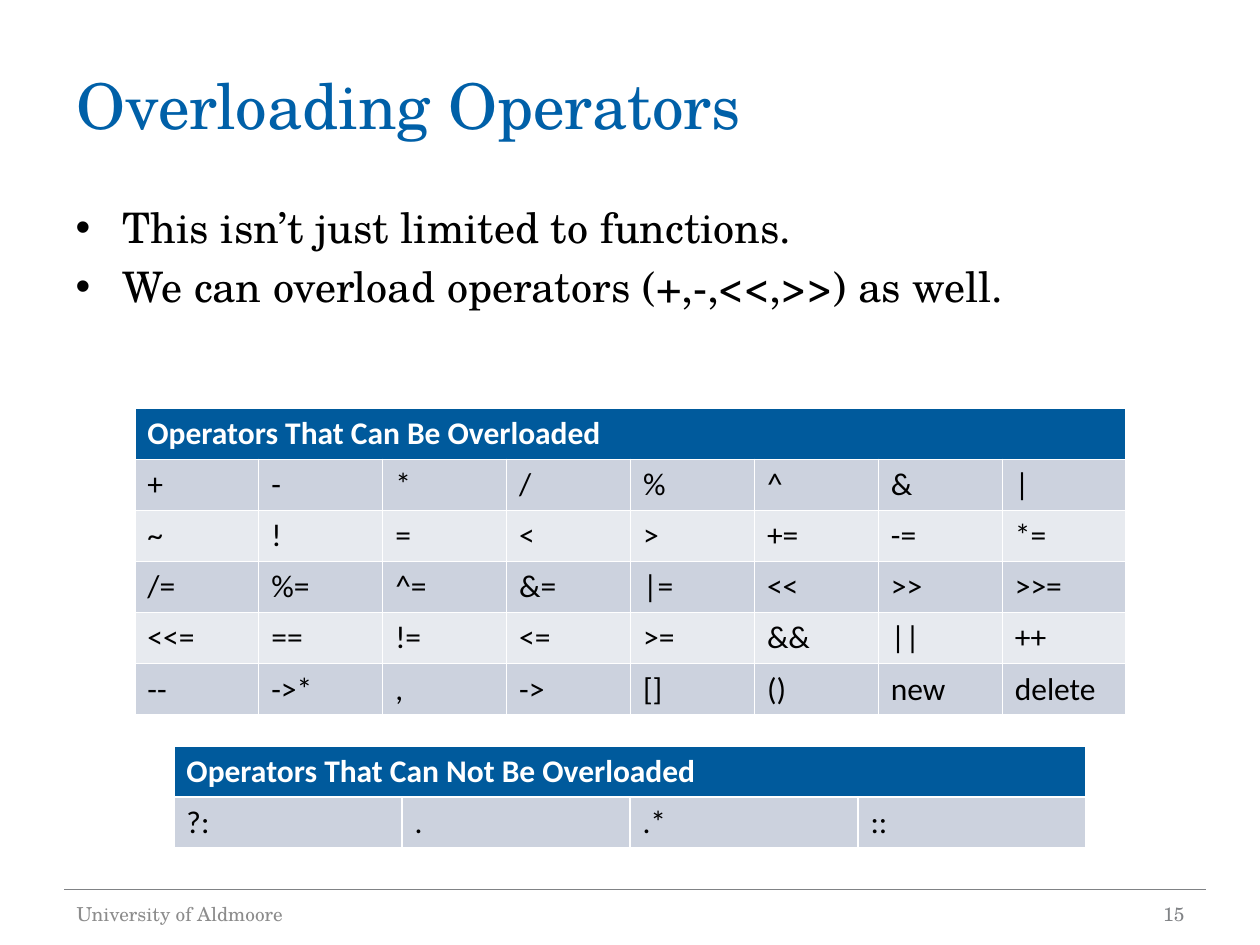
from dataclasses import dataclass

from pptx import Presentation
from pptx import util as u
from pptx.dml.color import RGBColor
from pptx.enum import shapes, text
from pptx.oxml.ns import qn

TITLE_BLUE = RGBColor(0x00, 0x60, 0xA8)
HEADER_BLUE = RGBColor(0x00, 0x5A, 0x9C)
BANDS = (RGBColor(0xCC, 0xD2, 0xDE), RGBColor(0xE7, 0xEA, 0xEF))
RULE_GREY = RGBColor(0x80, 0x82, 0x85)
FOOTER_GREY = RGBColor(0x8C, 0x8C, 0x8C)
BLACK = RGBColor(0, 0, 0)
WHITE = RGBColor(0xFF, 0xFF, 0xFF)
SERIF, SANS = "TeX Gyre Schola", "Calibri"

WIDTH, HEIGHT = u.Inches(10), u.Inches(7.5)
ROW_HEIGHT = 5.4  # percent of the slide's height


@dataclass(frozen=True)
class Box:
    """A place on the slide, in percent of its width and height."""
    left: float
    top: float
    width: float
    height: float

    def lengths(self) -> tuple[int, int, int, int]:
        return (across(self.left), down(self.top),
                across(self.width), down(self.height))


@dataclass(frozen=True)
class OperatorTable:
    heading: str
    rows: tuple[str, ...]  # operators separated by spaces
    left: float
    top: float
    width: float


def across(percent: float) -> int:
    return round(WIDTH * percent / 100)


def down(percent: float) -> int:
    return round(HEIGHT * percent / 100)


def write(frame, *lines: str, size: float, color: RGBColor, font: str = SERIF,
          bold: bool = False, align=text.PP_ALIGN.LEFT, anchor=None) -> None:
    frame.word_wrap = True
    if anchor is not None:
        frame.vertical_anchor = anchor
    for index, line in enumerate(lines):
        paragraph = frame.paragraphs[0] if index == 0 else frame.add_paragraph()
        paragraph.alignment = align
        run = paragraph.add_run()
        run.text = line
        run.font.name, run.font.size = font, u.Pt(size)
        run.font.bold = bold
        run.font.color.rgb = color


def place(shape, box: Box) -> None:
    shape.left, shape.top, shape.width, shape.height = box.lengths()


def fill_cell(cell, label: str, fill: RGBColor, color: RGBColor,
              bold: bool = False) -> None:
    cell.fill.solid()
    cell.fill.fore_color.rgb = fill
    write(cell.text_frame, label, size=18, color=color, font=SANS, bold=bold)


def draw_table(slide, spec: OperatorTable) -> None:
    grid = [row.split() for row in spec.rows]
    row_count, column_count = len(grid) + 1, len(grid[0])
    box = Box(spec.left, spec.top, spec.width, row_count * ROW_HEIGHT)
    table = slide.shapes.add_table(row_count, column_count, *box.lengths()).table
    # Heading across all columns
    heading = table.cell(0, 0)
    heading.merge(table.cell(0, column_count - 1))
    fill_cell(heading, spec.heading, HEADER_BLUE, WHITE, bold=True)
    # Banded rows of operators
    for row, operators in enumerate(grid):
        for column, operator in enumerate(operators):
            fill_cell(table.cell(row + 1, column), operator, BANDS[row % 2], BLACK)


def draw_footer(slide) -> None:
    rule = slide.shapes.add_connector(
        shapes.MSO_CONNECTOR.STRAIGHT,
        across(5.1), down(94.13), across(95.7), down(94.13))
    rule.line.color.rgb = RULE_GREY
    rule.line.width = u.Pt(0.75)
    properties = rule._element.spPr
    properties.append(properties.makeelement(qn("a:effectLst"), {}))

    for label, box, color, align in (
        ("University of Aldmoore", Box(5.1, 94, 31.7, 5.33), FOOTER_GREY,
         text.PP_ALIGN.LEFT),
        ("15", Box(71.7, 94, 23.3, 5.33), RULE_GREY, text.PP_ALIGN.RIGHT),
    ):
        note = slide.shapes.add_textbox(*box.lengths())
        write(note.text_frame, label, size=11, color=color, align=align,
              anchor=text.MSO_ANCHOR.MIDDLE)


TABLES = (
    OperatorTable(
        "Operators That Can Be Overloaded",
        ("+ - * / % ^ & |",
         "~ ! = < > += -= *=",
         "/= %= ^= &= |= << >> >>=",
         "<<= == != <= >= && || ++",
         "-- ->* , -> [] () new delete"),
        left=10.7, top=43.2, width=78.7),
    OperatorTable(
        "Operators That Can Not Be Overloaded", ("?: . .* ::",),
        left=13.8, top=78.93, width=72.4),
)


def main() -> None:
    deck = Presentation()
    deck.slide_width, deck.slide_height = WIDTH, HEIGHT
    slide = deck.slides.add_slide(deck.slide_layouts[1])

    # Title and bullet list
    title, points = slide.placeholders
    place(title, Box(5.1, 4.8, 90, 12.4))
    write(title.text_frame, "Overloading Operators", size=36, color=TITLE_BLUE,
          anchor=text.MSO_ANCHOR.MIDDLE)
    place(points, Box(5, 20.67, 90.1, 68.67))
    write(points.text_frame,
          "This isn’t just limited to functions.",
          "We can overload operators (+,-,<<,>>) as well.",
          size=24, color=BLACK)

    # Operator tables
    for spec in TABLES:
        draw_table(slide, spec)

    draw_footer(slide)
    deck.save("out.pptx")


if __name__ == "__main__":
    main()
